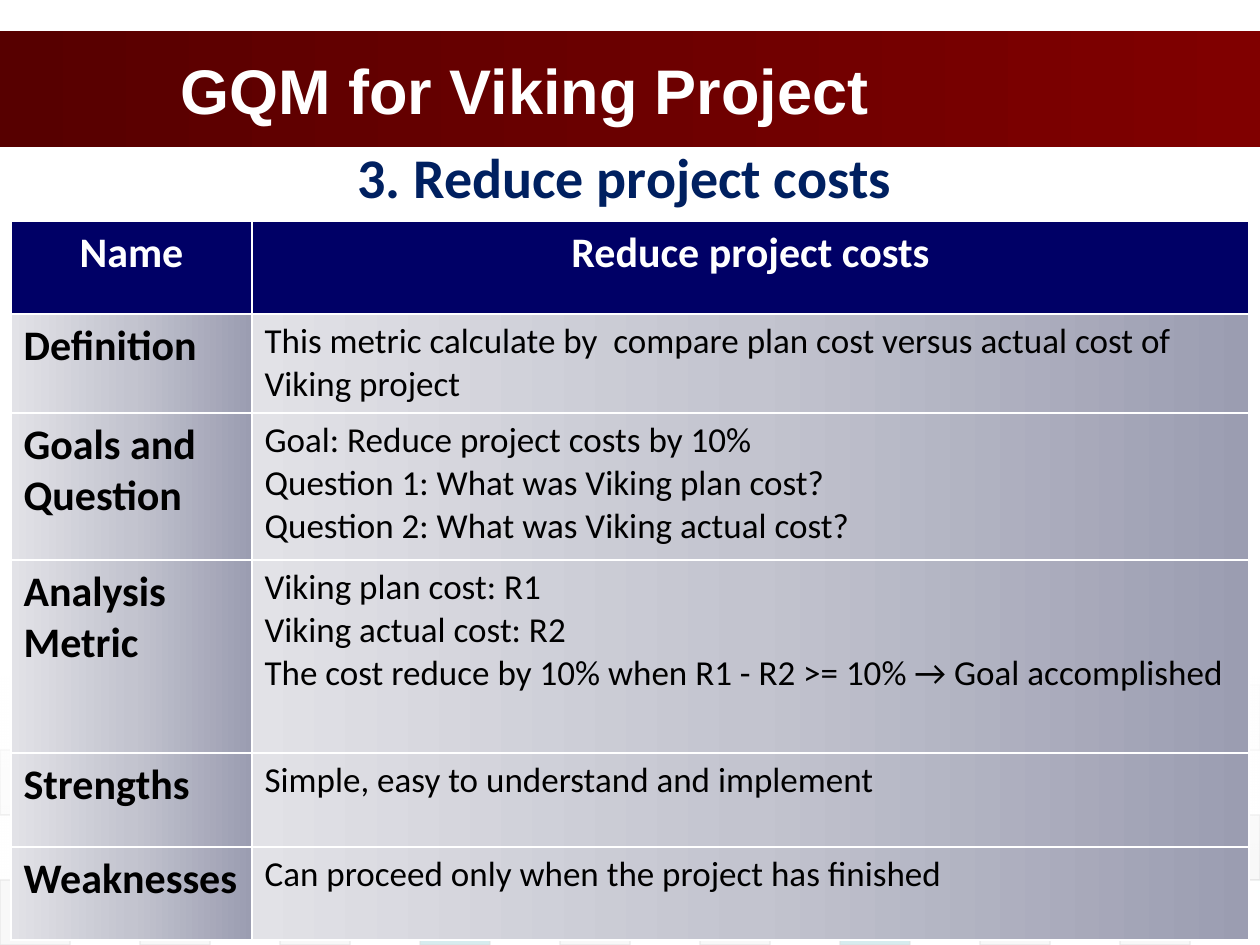
from lxml.etree import SubElement
from pptx import Presentation
from pptx.dml.color import RGBColor
from pptx.enum.shapes import MSO_SHAPE
from pptx.enum.text import MSO_ANCHOR, MSO_AUTO_SIZE, PP_ALIGN
from pptx.oxml.ns import qn
from pptx.util import Emu, Pt

PX = 914400 / 126

WHITE = RGBColor(0xFF, 0xFF, 0xFF)
BLACK = RGBColor(0x00, 0x00, 0x00)
MAROON = RGBColor(0x80, 0x00, 0x00)
DARK_MAROON = RGBColor(0x57, 0x00, 0x00)
NAVY = RGBColor(0x00, 0x20, 0x60)
HEADER_BLUE = RGBColor(0x00, 0x00, 0x66)
CELL_STOPS = [(0, RGBColor(0x9B, 0x9D, 0xB1), 100),
              (50, RGBColor(0xC3, 0xC4, 0xCF), 100),
              (100, RGBColor(0xE2, 0xE2, 0xE7), 100)]
LINE_GRAY = RGBColor(0xDD, 0xDD, 0xDD)
TILE_COLORS = {"D": LINE_GRAY,
               "E": RGBColor(0xEA, 0xEA, 0xEA),
               "T": RGBColor(0x38, 0xA3, 0xB2),
               "G": RGBColor(0xD3, 0xA9, 0x11)}


def px(*lengths):
    """Turn lengths in px into a list of EMU."""
    return [Emu(round(n * PX)) for n in lengths]


def set_gradient(fill, angle, stops):
    """Fill with (position, colour, opacity) stops; the angle is counter-clockwise."""
    fill.gradient()
    fill.gradient_angle = angle
    stop_list = fill._xPr.find(qn("a:gradFill")).find(qn("a:gsLst"))
    for old in list(stop_list):
        stop_list.remove(old)
    for pos, color, opacity in stops:
        gs = SubElement(stop_list, qn("a:gs"), pos=str(pos * 1000))
        clr = SubElement(gs, qn("a:srgbClr"), val=str(color))
        if opacity < 100:
            SubElement(clr, qn("a:alpha"), val=str(opacity * 1000))


prs = Presentation()
prs.slide_width, prs.slide_height = px(1260, 945)
slide = prs.slides.add_slide(prs.slide_layouts[1])
shapes = slide.shapes
title, body = slide.placeholders

# Title band, placed behind the title
band = shapes.add_shape(MSO_SHAPE.RECTANGLE, *px(0, 31, 1260, 116))
band.shadow.inherit = False
band.line.fill.background()
set_gradient(band.fill, 0, [(0, DARK_MAROON, 100), (100, MAROON, 100)])
shapes._spTree.insert(2, band._element)

# Checkerboard of faint tiles: (first column, opacity, colours)
TILE_W, TILE_H, TILE_TOP = 70, 65, 685
tile_rows = [(1, 5, "TEETDTEGE"),
             (0, 10, "DDDDGDDDT"),
             (1, 20, "DGDDDDGDD"),
             (0, 20, "DDDTDDTDD")]
for row, (first, opacity, colors) in enumerate(tile_rows):
    for i, key in enumerate(colors):
        sp = shapes.add_shape(MSO_SHAPE.RECTANGLE, *px(
            (first + 2 * i) * TILE_W, TILE_TOP + row * TILE_H, TILE_W, TILE_H))
        sp.shadow.inherit = False
        sp.fill.solid()
        sp.fill.fore_color.rgb = TILE_COLORS[key]
        sp.line.color.rgb = LINE_GRAY
        sp.line.width = Pt(0.75)
        for clr, alpha in zip(sp._element.spPr.iter(qn("a:srgbClr")), (opacity, 60)):
            SubElement(clr, qn("a:alpha"), val=str(alpha * 1000))

fade = shapes.add_shape(MSO_SHAPE.RECTANGLE, *px(0, 677, 1260, 204))
fade.shadow.inherit = False
fade.line.fill.background()
set_gradient(fade.fill, 270, [(0, WHITE, 90), (100, WHITE, 0)])

# Title and subtitle
headings = [
    (title, (168, 31, 1018, 116), "GQM for Viking Project",
     "Arial", 36, WHITE, PP_ALIGN.LEFT, MSO_ANCHOR.MIDDLE),
    (body, (199, 136, 851, 73), "3. Reduce project costs",
     "Calibri", 32, NAVY, PP_ALIGN.CENTER, MSO_ANCHOR.TOP),
]
for sp, box, text, font, size, color, align, anchor in headings:
    sp.left, sp.top, sp.width, sp.height = px(*box)
    tf = sp.text_frame
    tf.text = text
    tf.auto_size = MSO_AUTO_SIZE.NONE
    tf.vertical_anchor = anchor
    p = tf.paragraphs[0]
    p.alignment = align
    r = p.runs[0]
    r.font.name, r.font.size, r.font.bold = font, Pt(size), True
    r.font.color.rgb = color
pPr = body.text_frame.paragraphs[0]._p.get_or_add_pPr()
pPr.set("marL", "0")
pPr.set("indent", "0")
SubElement(pPr, qn("a:buNone"))

# Metric table
metric_rows = [
    (93, "Name", "Reduce project costs"),
    (99, "Definition", "This metric calculate by  compare plan cost versus "
                       "actual cost of Viking project"),
    (147, "Goals and Question", "Goal: Reduce project costs by 10%\n"
                                "Question 1: What was Viking plan cost?\n"
                                "Question 2: What was Viking actual cost?"),
    (193, "Analysis Metric", "Viking plan cost: R1\n"
                             "Viking actual cost: R2\n"
                             "The cost reduce by 10% when R1 - R2 >= 10% → Goal accomplished"),
    (94, "Strengths", "Simple, easy to understand and implement"),
    (93, "Weaknesses", "Can proceed only when the project has finished"),
]
col_widths = (241, 997)
table_height = sum(row[0] for row in metric_rows)
table = shapes.add_table(len(metric_rows), 2,
                         *px(11, 221, sum(col_widths), table_height)).table
for column, width in zip(table.columns, px(*col_widths)):
    column.width = width
for i, (height, *texts) in enumerate(metric_rows):
    table.rows[i].height = px(height)[0]
    header = i == 0
    for j, text in enumerate(texts):
        cell = table.cell(i, j)
        if header:
            cell.fill.solid()
            cell.fill.fore_color.rgb = HEADER_BLUE
        else:
            set_gradient(cell.fill, 180, CELL_STOPS)
        cell.text_frame.text = text
        label = header or j == 0
        for p in cell.text_frame.paragraphs:
            p.alignment = PP_ALIGN.CENTER if header else PP_ALIGN.LEFT
            r = p.runs[0]
            r.font.name, r.font.size, r.font.bold = "Calibri", Pt(24 if label else 20), label
            r.font.color.rgb = WHITE if header else BLACK

prs.save("out.pptx")
